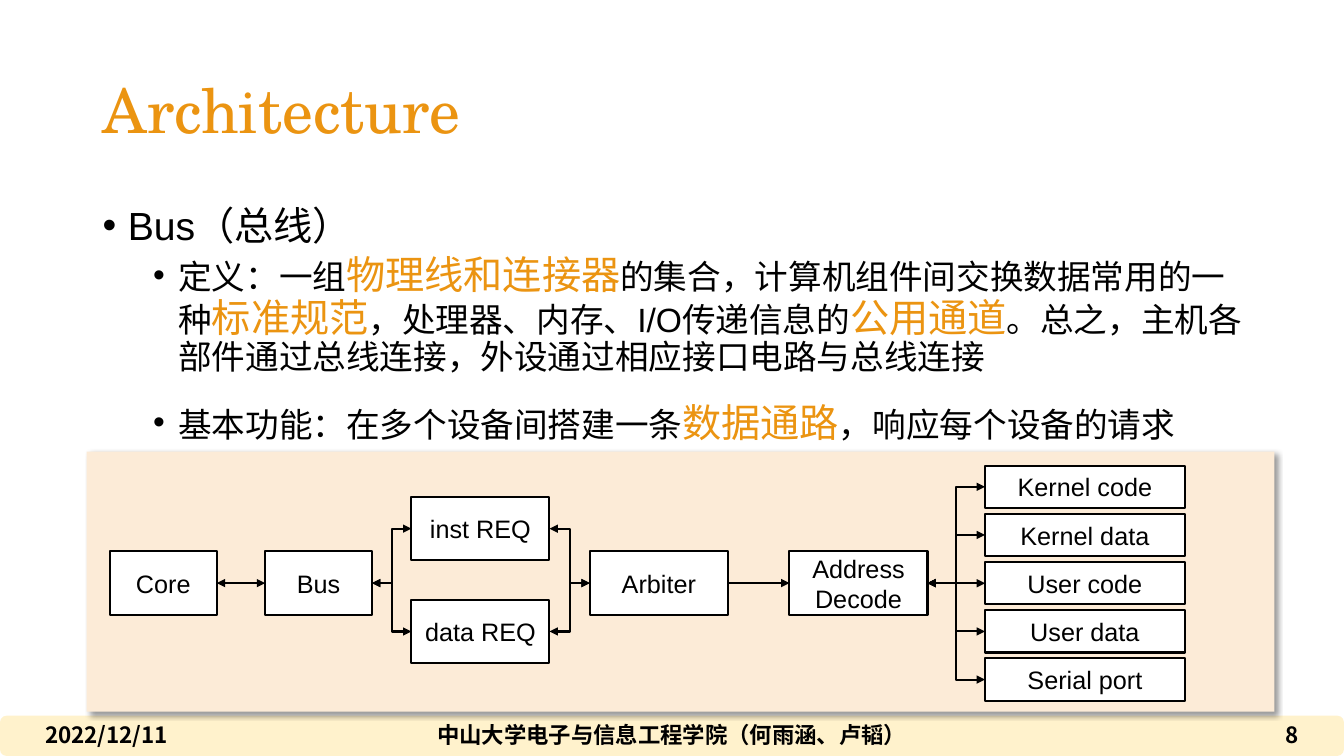
from lxml.etree import SubElement
from pptx import Presentation
from pptx.dml.color import RGBColor
from pptx.enum.shapes import MSO_CONNECTOR as CONN, MSO_SHAPE as SHAPE
from pptx.enum.text import MSO_ANCHOR as ANCHOR, MSO_AUTO_SIZE as AUTO, PP_ALIGN as ALIGN
from pptx.oxml.ns import qn
from pptx.util import Inches, Pt

# Content
BLACK, WHITE, ORANGE = "000000", "FFFFFF", "EB9411"
CREAM, PEACH = "FFF2CC", "FCEBD7"
SANS, CJK, SERIF = "Arial", "Noto Sans CJK SC", "TeX Gyre Schola"

TITLE = "Architecture"
# Level, space before, then pieces that alternate between plain and highlighted
BODY = [
    (0, 10, ["Bus（总线）"]),
    (1, 5, ["定义：一组", "物理线和连接器",
            "的集合，计算机组件间交换数据常用的一种", "标准规范",
            "，处理器、内存、I/O传递信息的", "公用通道",
            "。总之，主机各部件通过总线连接，外设通过相应接口电路与总线连接"]),
    (1, 19, ["基本功能：在多个设备间搭建一条", "数据通路", "，响应每个设备的请求"]),
]
FOOTER = [
    ("2022/12/11", 0.35, 3, ALIGN.LEFT),
    ("中山大学电子与信息工程学院（何雨涵、卢韬）", 3.35, 6.63, ALIGN.CENTER),
    ("8", 9.98, 3, ALIGN.RIGHT),
]
# Stage boxes: left, top, width
STAGES = {
    "Core": (1.09, 5.47, 1.06),
    "Bus": (2.63, 5.47, 1.06),
    "inst REQ": (4.08, 4.93, 1.37),
    "data REQ": (4.08, 5.95, 1.37),
    "Arbiter": (5.85, 5.47, 1.37),
    "Address Decode": (7.83, 5.47, 1.37),
}
STAGE_H = 0.63
TARGETS = ["Kernel code", "Kernel data", "User code", "User data", "Serial port"]
TARGET_X, TARGET_Y, TARGET_W, TARGET_H, TARGET_STEP = 9.77, 4.62, 1.98, 0.42, 0.478
# From, to, kind, arrow at both ends
LINKS = [
    ("Core", "Bus", CONN.STRAIGHT, True),
    ("Bus", "inst REQ", CONN.ELBOW, True),
    ("Bus", "data REQ", CONN.ELBOW, True),
    ("inst REQ", "Arbiter", CONN.ELBOW, True),
    ("data REQ", "Arbiter", CONN.ELBOW, True),
    ("Arbiter", "Address Decode", CONN.STRAIGHT, False),
] + [("Address Decode", name, CONN.ELBOW, True) for name in TARGETS]
LEFT_SITE, RIGHT_SITE = 1, 3


# Helpers
def rgb(color):
    return RGBColor.from_string(color)


def style(r, size, color=BLACK, font=SANS, bold=False):
    r.font.name, r.font.size, r.font.bold = font, Pt(size), bold
    r.font.color.rgb = rgb(color)
    SubElement(r.font._element, qn("a:ea"), typeface=CJK)


def add_box(kind, x, y, w, h, fill, line=None):
    sp = slide.shapes.add_shape(kind, Inches(x), Inches(y), Inches(w), Inches(h))
    sp.shadow.inherit = False
    sp.fill.solid()
    sp.fill.fore_color.rgb = rgb(fill)
    if line:
        sp.line.color.rgb = rgb(line)
        sp.line.width = Pt(1.5)
    else:
        sp.line.fill.background()
    return sp


def add_text(x, y, w, h, anchor):
    tf = slide.shapes.add_textbox(Inches(x), Inches(y), Inches(w), Inches(h)).text_frame
    tf.word_wrap, tf.vertical_anchor = True, anchor
    return tf


def add_node(name, x, y, w, h):
    sp = add_box(SHAPE.RECTANGLE, x, y, w, h, WHITE, BLACK)
    tf = sp.text_frame
    tf.text, tf.vertical_anchor = name, ANCHOR.MIDDLE
    p = tf.paragraphs[0]
    p.alignment = ALIGN.CENTER
    style(p.runs[0], 18)
    return sp


def add_link(start, end, kind, both):
    c = slide.shapes.add_connector(kind, 0, 0, 0, 0)
    c.begin_connect(start, RIGHT_SITE)
    c.end_connect(end, LEFT_SITE)
    c.line.color.rgb = rgb(BLACK)
    c.line.width = Pt(1.5)
    ln = c.line._get_or_add_ln()
    for tag in ("a:headEnd", "a:tailEnd") if both else ("a:tailEnd",):
        SubElement(ln, qn(tag), type="triangle")
    SubElement(c._element.spPr, qn("a:effectLst"))


prs = Presentation()
prs.slide_width, prs.slide_height = Inches(13.33), Inches(7.5)
slide = prs.slides.add_slide(prs.slide_layouts[5])

# Footer band and diagram panel
add_box(SHAPE.ROUNDED_RECTANGLE, 0, 7.1, 13.33, 0.4, CREAM)
panel = add_box(SHAPE.RECTANGLE, 0.86, 4.48, 11.78, 2.58, PEACH)
effects = panel._element.spPr.find(qn("a:effectLst"))
shadow = SubElement(effects, qn("a:outerShdw"), blurRad=str(Pt(4)), dist=str(Pt(3)),
                    dir=str(45 * 60000), algn="tl", rotWithShape="0")
shade = SubElement(shadow, qn("a:srgbClr"), val=BLACK)
SubElement(shade, qn("a:alpha"), val="40000")

# Title
title = slide.shapes.title
title.left, title.top = Inches(0.92), Inches(0.4)
title.width, title.height = Inches(11.5), Inches(1.45)
tf = title.text_frame
tf.text, tf.vertical_anchor, tf.auto_size = TITLE, ANCHOR.MIDDLE, AUTO.NONE
p = tf.paragraphs[0]
p.alignment, p.line_spacing = ALIGN.LEFT, 0.9
style(p.runs[0], 44, ORANGE, SERIF)

# Footer texts
for text, x, w, align in FOOTER:
    tf = add_text(x, 7.09, w, 0.4, ANCHOR.MIDDLE)
    tf.text = text
    p = tf.paragraphs[0]
    p.alignment = align
    style(p.runs[0], 16, font=CJK, bold=True)

# Bulleted body
tf = add_text(0.92, 2, 11.5, 2.45, ANCHOR.TOP)
for i, (level, before, pieces) in enumerate(BODY):
    p = tf.add_paragraph() if i else tf.paragraphs[0]
    p.level, p.line_spacing, p.space_before = level, 0.9, Pt(before)
    pPr = p._p.get_or_add_pPr()
    pPr.set("marL", str(Inches(0.25 + 0.5 * level)))
    pPr.set("indent", str(Inches(-0.25)))
    SubElement(pPr, qn("a:buFont"), typeface=SANS)
    SubElement(pPr, qn("a:buChar"), char="•")
    for j, piece in enumerate(pieces):
        r = p.add_run()
        r.text = piece
        marked = j % 2 == 1
        style(r, 28 if marked or level == 0 else 24, ORANGE if marked else BLACK)

# Diagram boxes and links
nodes = {name: add_node(name, x, y, w, STAGE_H) for name, (x, y, w) in STAGES.items()}
for i, name in enumerate(TARGETS):
    nodes[name] = add_node(name, TARGET_X, TARGET_Y + i * TARGET_STEP, TARGET_W, TARGET_H)
for start, end, kind, both in LINKS:
    add_link(nodes[start], nodes[end], kind, both)

prs.save("out.pptx")
